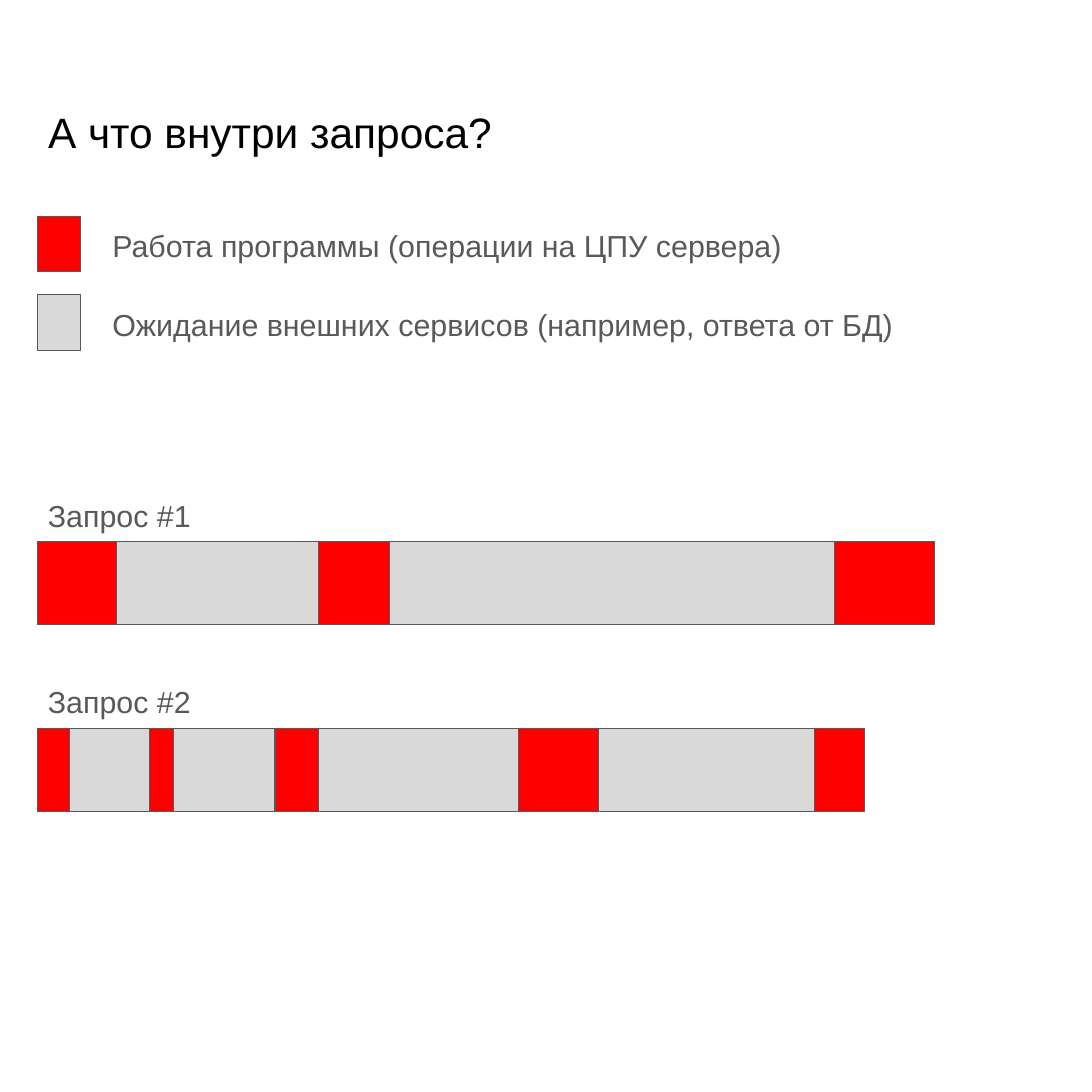
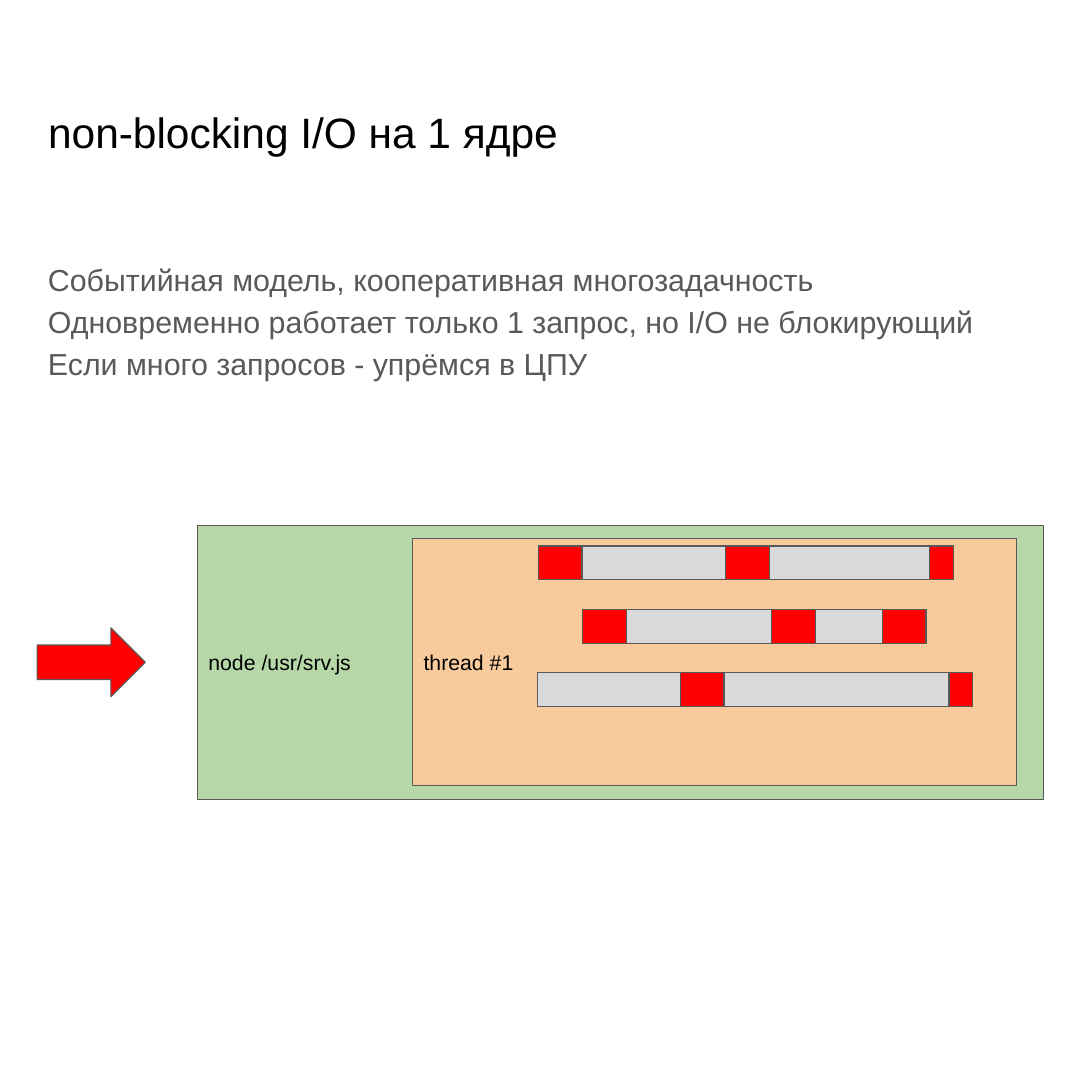
from itertools import cycle, pairwise

from pptx import Presentation
from pptx.dml.color import RGBColor
from pptx.enum import shapes, text
from pptx.util import Pt

BLACK = RGBColor(0x00, 0x00, 0x00)
GRAY = RGBColor(0x59, 0x59, 0x59)
RED = RGBColor(0xFF, 0x00, 0x00)
SILVER = RGBColor(0xD9, 0xD9, 0xD9)
GREEN = RGBColor(0xB6, 0xD7, 0xA8)
PEACH = RGBColor(0xF9, 0xCB, 0x9C)

SIDE = 720
LEFT = 24.5
WIDE = 671
ROW = 36.7
RECT = shapes.MSO_SHAPE.RECTANGLE
ARROW = shapes.MSO_SHAPE.RIGHT_ARROW


def write(frame, words, size=20, color=GRAY, anchor=text.MSO_ANCHOR.TOP, space=1.0):
    """Fill a text frame, one paragraph for each line of words."""
    frame.word_wrap = True
    frame.auto_size = text.MSO_AUTO_SIZE.NONE
    frame.vertical_anchor = anchor
    frame.margin_left = frame.margin_right = Pt(7.2)
    frame.margin_top = frame.margin_bottom = Pt(7.2)
    frame.text = words
    for para in frame.paragraphs:
        para.alignment = text.PP_ALIGN.LEFT
        para.line_spacing = space
        para.space_before = Pt(0)
        for run in para.runs:
            run.font.name = "Arial"
            run.font.size = Pt(size)
            run.font.color.rgb = color


class Deck:
    """Holds the shared style and the slide being built."""

    def __init__(self):
        self.prs = Presentation()
        self.prs.slide_width = self.prs.slide_height = Pt(SIDE)
        self.slide = None

    def page(self, title):
        self.slide = self.prs.slides.add_slide(self.prs.slide_layouts[5])
        head = self.slide.shapes.title
        head.left, head.top = Pt(LEFT), Pt(62.6)
        head.width, head.height = Pt(WIDE), Pt(80)
        write(head.text_frame, title, size=28, color=BLACK)

    def label(self, x, y, words, w=594.7, h=ROW, **style):
        box = self.slide.shapes.add_textbox(Pt(x), Pt(y), Pt(w), Pt(h))
        write(box.text_frame, words, **style)

    def block(self, x, y, w, h, fill, kind=RECT, words=None):
        box = self.slide.shapes.add_shape(kind, Pt(x), Pt(y), Pt(w), Pt(h))
        box.shadow.inherit = False
        box.fill.solid()
        box.fill.fore_color.rgb = fill
        box.line.color.rgb = GRAY
        box.line.width = Pt(0.75)
        if words:
            write(box.text_frame, words, size=14, color=BLACK,
                  anchor=text.MSO_ANCHOR.MIDDLE)

    def bar(self, y, h, edges, fills=(RED, SILVER)):
        """Draw touching blocks between the edges, with fills in turn."""
        for (start, end), fill in zip(pairwise(edges), cycle(fills)):
            self.block(start, y, end - start, h, fill)


def inside(deck):
    deck.page("А что внутри запроса?")
    legend = (
        (142.6, RED, "Работа программы (операции на ЦПУ сервера)"),
        (194.4, SILVER, "Ожидание внешних сервисов (например, ответа от БД)"),
    )
    for y, fill, words in legend:
        deck.block(LEFT, y, 28.8, ROW, fill)
        deck.label(67, y, words)

    calls = (
        (357.1, "Запрос #1", (LEFT, 77, 210.2, 257, 550.1, 616.3)),
        (480.2, "Запрос #2", (LEFT, 46.1, 98.6, 114.5, 181.4, 210.2,
                              342, 394.6, 537.1, 570.2)),
    )
    for y, words, edges in calls:
        deck.label(LEFT, y - ROW, words)
        deck.bar(y, 54.7, edges)


def events(deck):
    deck.page("non-blocking I/O на 1 ядре")
    lines = (
        "Событийная модель, кооперативная многозадачность",
        "Одновременно работает только 1 запрос, но I/O не блокирующий",
        "Если много запросов - упрёмся в ЦПУ",
    )
    deck.label(LEFT, 161.3, "\n".join(lines), w=WIDE, h=157.7, space=1.15)
    deck.block(130.3, 346.3, 558, 180.7, GREEN, words="node /usr/srv.js")
    deck.block(LEFT, 414, 71.3, 45.4, RED, kind=ARROW)
    deck.block(272.2, 355, 398.2, 162.7, PEACH, words="thread #1")

    rows = (
        ((355, 383.8, 478.1, 507.2, 612.7, 628.6), (RED, SILVER)),
        ((383.8, 412.9, 508.5, 537.6, 581.8, 610.6), (RED, SILVER)),
        ((354.2, 448.6, 477.4, 625.7, 641.5), (SILVER, RED)),
    )
    for i, (edges, fills) in enumerate(rows):
        deck.bar(360 + 41.8 * i, 22.3, edges, fills)


def main():
    deck = Deck()
    inside(deck)
    events(deck)
    deck.prs.save("out.pptx")


if __name__ == "__main__":
    main()
